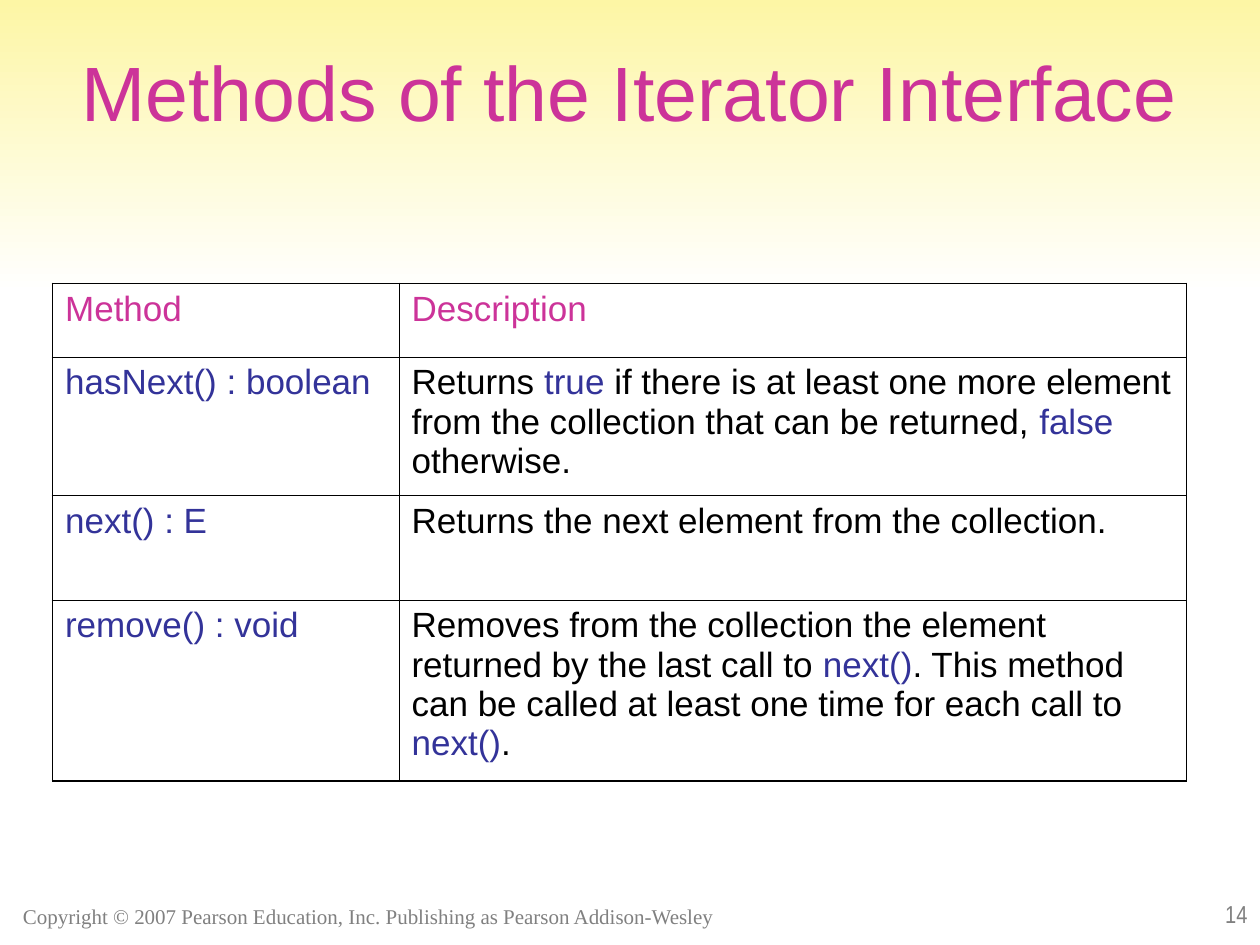
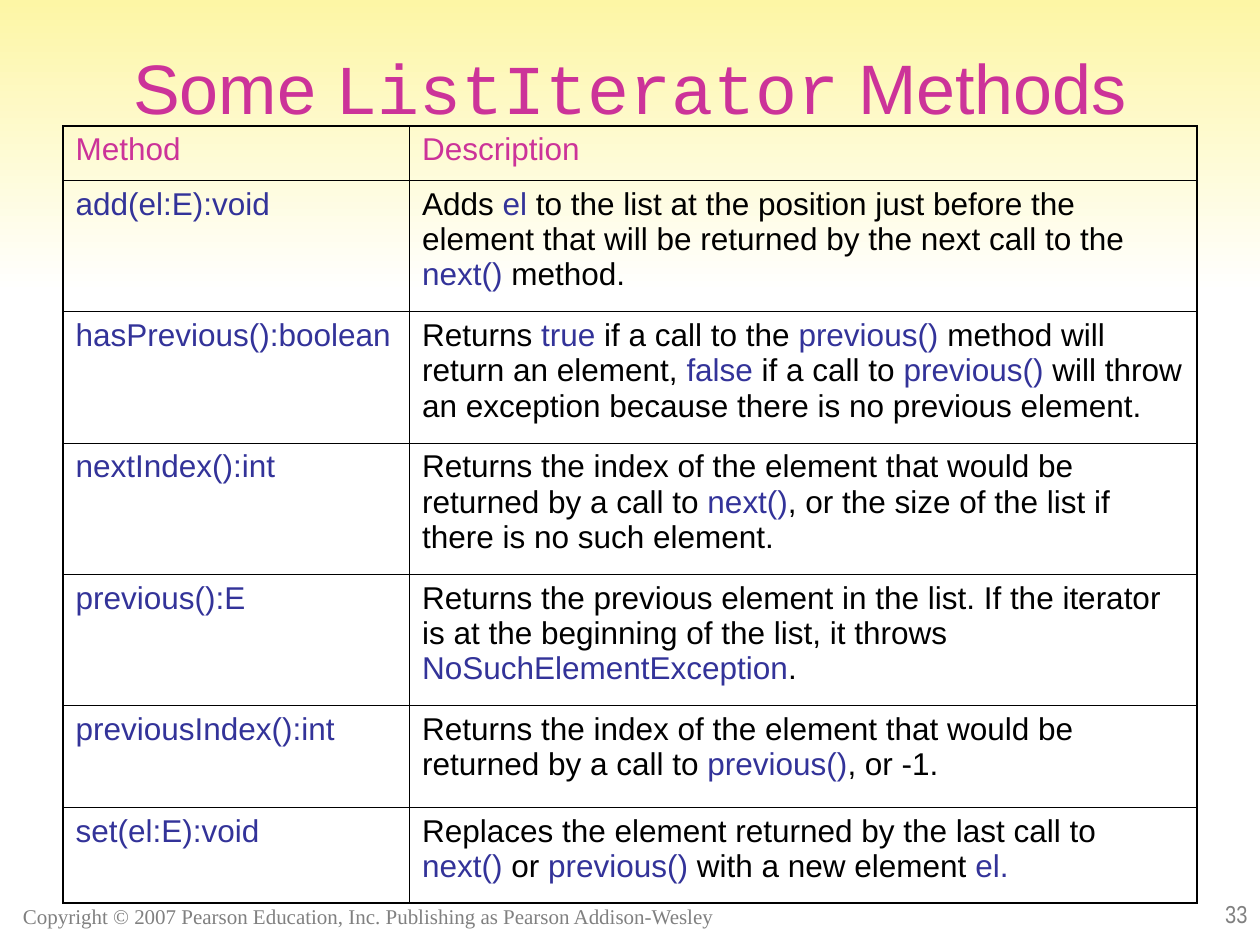
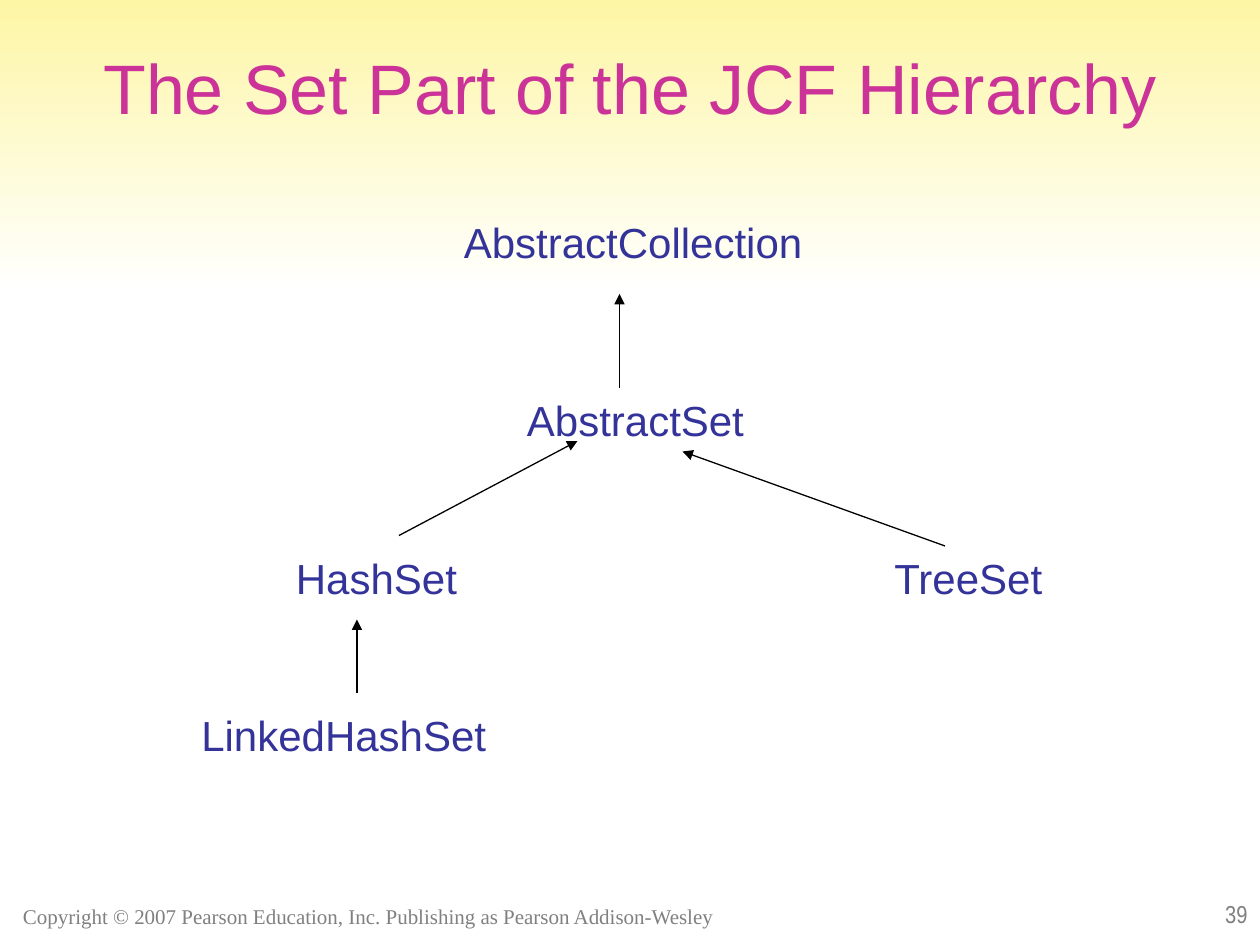
from dataclasses import dataclass
from typing import NamedTuple

import lxml.etree
import pptx
import pptx.dml.color
import pptx.enum.shapes
import pptx.enum.text
import pptx.oxml
import pptx.oxml.ns
import pptx.presentation
import pptx.slide
import pptx.text.text
import pptx.util

COLORS = {
    "heading": "CC3399",
    "code": "333399",
    "body": "000000",
    "footer": "808080",
    "band_top": "FDF6A5",
    "band_bottom": "FFFFFF",
    "rule": "000000",
}
SANS, NARROW, MONO, SERIF = "Arial", "Arial Narrow", "Courier New", "Times New Roman"
COPYRIGHT = "Copyright © 2007 Pearson Education, Inc. Publishing as Pearson Addison-Wesley"
SLIDE_WIDTH = pptx.util.Inches(10)
SLIDE_HEIGHT = pptx.util.Inches(7.5)
GRID_COLUMNS = 120
CELL = SLIDE_WIDTH // GRID_COLUMNS
OUTER_RULE, INNER_RULE = 1.08, 0.45
METHOD_COLUMNS = (33, 75)
ALIGN = pptx.enum.text.PP_ALIGN
ANCHOR = pptx.enum.text.MSO_ANCHOR
AUTO_SIZE = pptx.enum.text.MSO_AUTO_SIZE


class Box(NamedTuple):
    column: float
    row: float
    columns: float
    rows: float

    def place(self) -> tuple[int, ...]:
        return tuple(grid(value) for value in self)


class Style(NamedTuple):
    font: str
    size: float
    color: str


class ClassLabel(NamedTuple):
    text: str
    box: Box
    wrap: bool = True


class Inheritance(NamedTuple):
    start: tuple[float, float]
    end: tuple[float, float]


class Method(NamedTuple):
    signature: str
    description: str
    rows: float


@dataclass
class Page:
    number: int
    title: str
    title_rows: float
    title_size: int


@dataclass
class MethodTable:
    column: float
    row: float
    size: int
    header_rows: float
    methods: list[Method]


def grid(cells: float) -> int:
    return round(cells * CELL)


def rgb(name: str) -> pptx.dml.color.RGBColor:
    return pptx.dml.color.RGBColor.from_string(COLORS[name])


def set_font(font: pptx.text.text.Font, style: Style) -> None:
    font.name = style.font
    font.size = pptx.util.Pt(style.size)
    font.color.rgb = rgb(style.color)


def write(paragraph: pptx.text.text._Paragraph, text: str, style: Style,
          code: Style | None = None) -> None:
    set_font(paragraph.font, style)
    for index, part in enumerate(text.split("`")):
        if part:
            run = paragraph.add_run()
            run.text = part
            if "`" in text:
                set_font(run.font, code if code and index % 2 else style)


def add_text(slide: pptx.slide.Slide, box: Box, text: str, style: Style,
             align: ALIGN = ALIGN.LEFT, anchor: ANCHOR = ANCHOR.TOP,
             wrap: bool = True, fit: AUTO_SIZE = AUTO_SIZE.NONE) -> None:
    frame = slide.shapes.add_textbox(*box.place()).text_frame
    frame.word_wrap = wrap
    frame.auto_size = fit
    frame.vertical_anchor = anchor
    frame.paragraphs[0].alignment = align
    write(frame.paragraphs[0], text, style)


def add_band(slide: pptx.slide.Slide) -> None:
    band = slide.shapes.add_shape(
        pptx.enum.shapes.MSO_SHAPE.RECTANGLE, *Box(0, 0, GRID_COLUMNS, 28).place())
    band.shadow.inherit = False
    band.line.fill.background()
    band.fill.gradient()
    band.fill.gradient_angle = 270
    for stop, position, name in zip(
            band.fill.gradient_stops, (0, 1), ("band_top", "band_bottom")):
        stop.position = position
        stop.color.rgb = rgb(name)


def add_page(deck: pptx.presentation.Presentation, page: Page) -> pptx.slide.Slide:
    slide = deck.slides.add_slide(deck.slide_layouts.get_by_name("Title Only"))
    add_text(slide, Box(1, 84, 71, 5), COPYRIGHT, Style(SERIF, 12, "footer"),
             anchor=ANCHOR.BOTTOM)
    add_band(slide)
    add_text(slide, Box(95, 83, 25, 6), str(page.number), Style(NARROW, 14, "footer"),
             align=ALIGN.RIGHT, anchor=ANCHOR.BOTTOM)
    title = slide.shapes.title
    slide.shapes._spTree.append(title._element)
    title.left, title.top, title.width, title.height = Box(
        6, 3.6, 108, page.title_rows).place()
    frame = title.text_frame
    frame.word_wrap = True
    frame.auto_size = AUTO_SIZE.NONE
    frame.vertical_anchor = ANCHOR.TOP
    frame.paragraphs[0].alignment = ALIGN.CENTER
    write(frame.paragraphs[0], page.title, Style(SANS, page.title_size, "heading"),
          Style(MONO, page.title_size, "heading"))
    return slide


def set_borders(cell: pptx.table._Cell, outer_sides: dict[str, bool]) -> None:
    properties = cell._tc.get_or_add_tcPr()
    for index, (side, outer) in enumerate(outer_sides.items()):
        width = pptx.util.Pt(OUTER_RULE if outer else INNER_RULE)
        border = pptx.oxml.parse_xml(
            f'<a:{side} {pptx.oxml.ns.nsdecls("a")} w="{width}"><a:solidFill>'
            f'<a:srgbClr val="{COLORS["rule"]}"/></a:solidFill></a:{side}>')
        properties.insert(index, border)


def add_method_table(slide: pptx.slide.Slide, content: MethodTable) -> None:
    lines = [Method("Method", "Description", content.header_rows)] + [
        method._replace(signature=f"`{method.signature}`") for method in content.methods]
    box = Box(content.column, content.row, sum(METHOD_COLUMNS),
              sum(line.rows for line in lines))
    table = slide.shapes.add_table(
        len(lines), len(METHOD_COLUMNS), *box.place()).table
    table.first_row = table.horz_banding = False
    for column, width in zip(table.columns, METHOD_COLUMNS):
        column.width = grid(width)
    body = Style(SANS, content.size, "body")
    code = body._replace(color="code")
    heading = body._replace(color="heading")
    last_row, last_column = len(lines) - 1, len(METHOD_COLUMNS) - 1
    for row, line in enumerate(lines):
        table.rows[row].height = grid(line.rows)
        for column, text in enumerate((line.signature, line.description)):
            cell = table.cell(row, column)
            cell.fill.background()
            set_borders(cell, {"lnL": column == 0, "lnR": column == last_column,
                               "lnT": row == 0, "lnB": row == last_row})
            write(cell.text_frame.paragraphs[0], text, body if row else heading, code)


def add_inheritance(slide: pptx.slide.Slide, link: Inheritance) -> None:
    arrow = slide.shapes.add_connector(
        pptx.enum.shapes.MSO_CONNECTOR.STRAIGHT,
        *(grid(value) for value in link.start + link.end))
    arrow.line.color.rgb = rgb("rule")
    arrow.line.width = pptx.util.Pt(0.75)
    lxml.etree.SubElement(
        arrow.line._get_or_add_ln(), pptx.oxml.ns.qn("a:tailEnd"), type="triangle")
    lxml.etree.SubElement(arrow._element.spPr, pptx.oxml.ns.qn("a:effectLst"))


ITERATOR_METHODS = MethodTable(5, 27, 20, 7, [
    Method("hasNext() : boolean",
           "Returns `true` if there is at least one more element from the collection "
           "that can be returned, `false` otherwise.", 13.15),
    Method("next() : E", "Returns the next element from the collection.", 10),
    Method("remove() : void",
           "Removes from the collection the element returned by the last call to "
           "`next()`. This method can be called at least one time for each call to "
           "`next()`.", 17.25),
])

LIST_ITERATOR_METHODS = MethodTable(6, 12, 18, 5.2, [
    Method("add(el:E):void",
           "Adds `el` to the list at the position just before the element that will "
           "be returned by the next call to the `next()` method.", 12.5),
    Method("hasPrevious():boolean",
           "Returns `true` if a call to the `previous()` method will return an "
           "element, `false` if a call to `previous()` will throw an exception "
           "because there is no previous element.", 12.5),
    Method("nextIndex():int",
           "Returns the index of the element that would be returned by a call to "
           "`next()`, or the size of the list if there is no such element.", 12.5),
    Method("previous():E",
           "Returns the previous element in the list. If the iterator is at the "
           "beginning of the list, it throws `NoSuchElementException`.", 12.5),
    Method("previousIndex():int",
           "Returns the index of the element that would be returned by a call to "
           "`previous()`, or -1.", 9.7),
    Method("set(el:E):void",
           "Replaces the element returned by the last call to `next()` or "
           "`previous()` with a new element `el.`", 9.1),
])

SET_INHERITANCE = [
    Inheritance((59, 37), (59, 28)),
    Inheritance((34, 66), (34, 59)),
    Inheritance((38, 51), (55, 42)),
    Inheritance((90, 52), (65, 43)),
]

SET_CLASSES = [
    ClassLabel("AbstractCollection", Box(43, 20, 35, 6)),
    ClassLabel("AbstractSet", Box(49, 37, 26, 6)),
    ClassLabel("HashSet", Box(27, 52, 17.75, 6), wrap=False),
    ClassLabel("TreeSet", Box(84, 52, 16.5, 6), wrap=False),
    ClassLabel("LinkedHashSet", Box(18, 67, 31, 6)),
]


def main() -> None:
    deck = pptx.Presentation()
    deck.slide_width, deck.slide_height = SLIDE_WIDTH, SLIDE_HEIGHT

    iterator = add_page(deck, Page(14, "Methods of the Iterator Interface", 12.4, 44))
    add_method_table(iterator, ITERATOR_METHODS)

    list_iterator = add_page(deck, Page(33, "Some `ListIterator` Methods", 8.4, 40))
    add_method_table(list_iterator, LIST_ITERATOR_METHODS)

    hierarchy = add_page(deck, Page(39, "The Set Part of the JCF Hierarchy", 11.4, 40))
    for link in SET_INHERITANCE:
        add_inheritance(hierarchy, link)
    for label in SET_CLASSES:
        add_text(hierarchy, label.box, label.text, Style(SANS, 24, "code"),
                 wrap=label.wrap, fit=AUTO_SIZE.SHAPE_TO_FIT_TEXT)

    deck.save("out.pptx")


if __name__ == "__main__":
    main()
